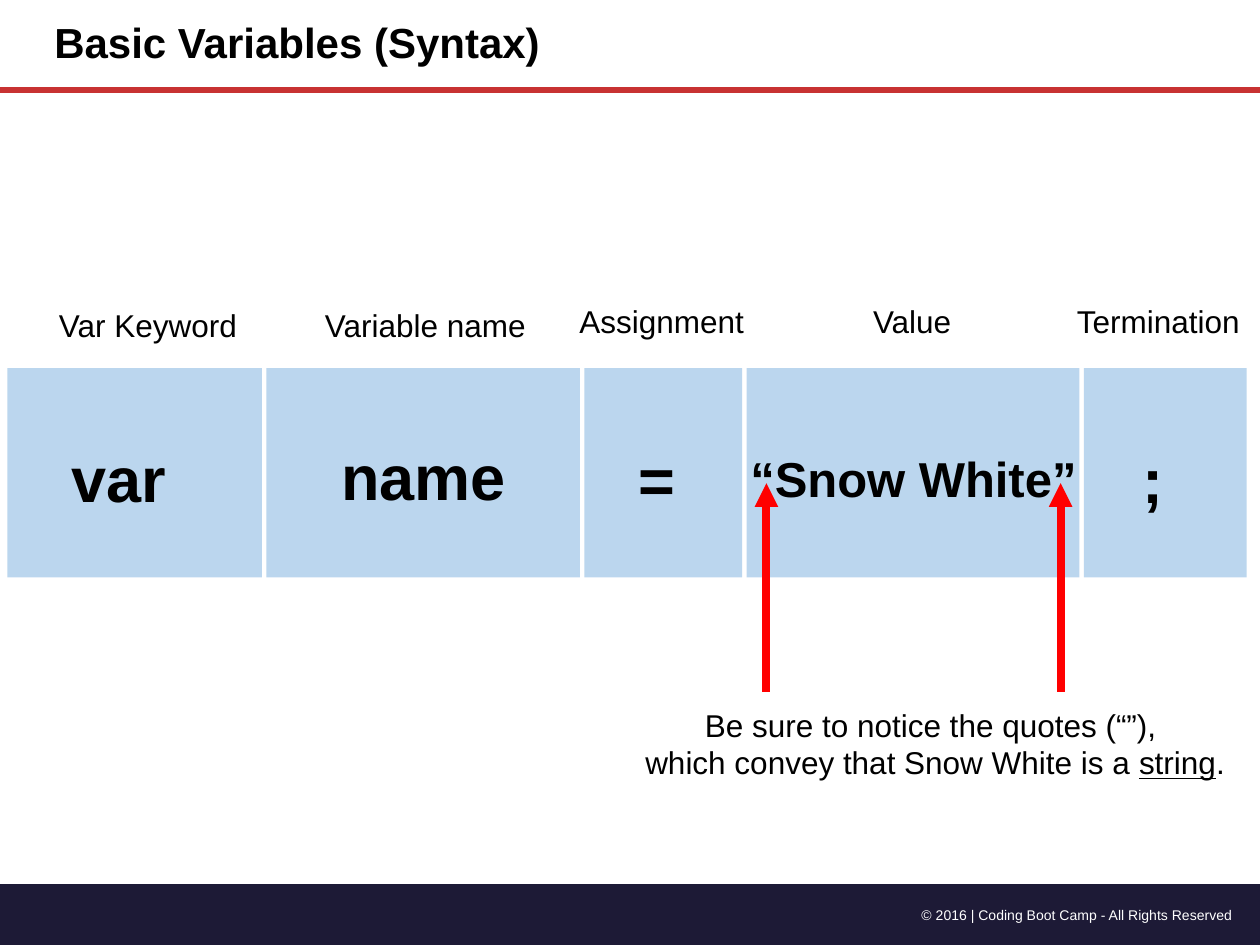
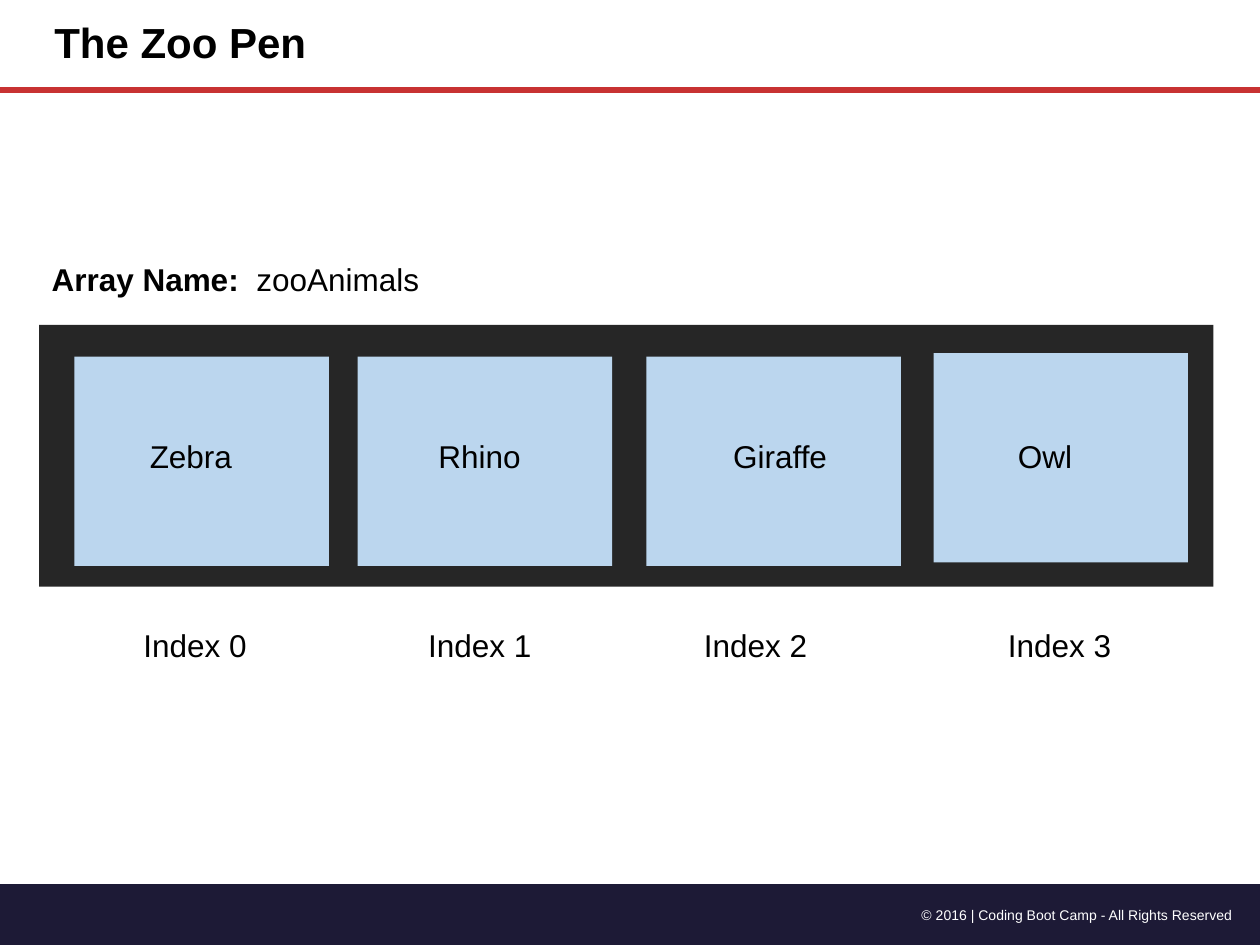
from lxml import etree
from pptx import Presentation
from pptx.dml.color import RGBColor
from pptx.enum import shapes, text
from pptx.oxml import ns
from pptx.util import Cm, Pt

FONT = "Arial"
BLACK = RGBColor(0x00, 0x00, 0x00)
WHITE = RGBColor(0xFF, 0xFF, 0xFF)
NAVY = RGBColor(0x1D, 0x1A, 0x36)
CRIMSON = RGBColor(0xC8, 0x32, 0x32)
RED = RGBColor(0xFF, 0x00, 0x00)
LIGHT_BLUE = RGBColor(0xBB, 0xD6, 0xEE)
CHARCOAL = RGBColor(0x26, 0x26, 0x26)
LEFT, CENTER, RIGHT = text.PP_ALIGN.LEFT, text.PP_ALIGN.CENTER, text.PP_ALIGN.RIGHT
PAGE_WIDTH, PAGE_HEIGHT = 25.4, 19.05
BLOCK_HEIGHT = 4.22


def add_block(page, left, top, width, height, color, kind=shapes.MSO_SHAPE.RECTANGLE):
    block = page.shapes.add_shape(kind, Cm(left), Cm(top), Cm(width), Cm(height))
    block.shadow.inherit = False
    block.fill.solid()
    block.fill.fore_color.rgb = color
    block.line.fill.background()


def add_text(page, left, top, width, height, paragraphs, size=18, color=BLACK, align=LEFT):
    """Each paragraph is a list of (words, bold, underline) runs."""
    box = page.shapes.add_textbox(Cm(left), Cm(top), Cm(width), Cm(height))
    frame = box.text_frame
    frame.word_wrap = True
    for number, runs in enumerate(paragraphs):
        para = frame.add_paragraph() if number else frame.paragraphs[0]
        para.alignment = align
        for words, bold, underline in runs:
            span = para.add_run()
            span.text = words
            span.font.name, span.font.size = FONT, Pt(size)
            span.font.bold, span.font.underline = bold, underline
            span.font.color.rgb = color


deck = Presentation()
deck.slide_width, deck.slide_height = Cm(PAGE_WIDTH), Cm(PAGE_HEIGHT)

# Shared frame: footer band, red rule and title
for heading in ("Basic Variables (Syntax)", "The Zoo Pen"):
    page = deck.slides.add_slide(deck.slide_layouts[5])
    add_block(page, 0, 17.83, PAGE_WIDTH, PAGE_HEIGHT - 17.83, NAVY,
              shapes.MSO_SHAPE.FLOWCHART_PROCESS)
    add_text(page, 17.35, 18.16, 7.75, 0.61,
             [[("© 2016 | Coding Boot Camp - All Rights Reserved", False, False)]],
             8, WHITE, RIGHT)
    rule = page.shapes.add_connector(shapes.MSO_CONNECTOR.STRAIGHT,
                                     0, Cm(1.82), Cm(PAGE_WIDTH), Cm(1.82))
    rule.line.color.rgb, rule.line.width = CRIMSON, Pt(3.25)

    title = page.shapes.title
    title.left, title.top, title.width, title.height = Cm(0.84), Cm(0), Cm(15.19), Cm(1.82)
    title.text_frame.vertical_anchor = text.MSO_ANCHOR.MIDDLE
    title.text_frame.auto_size = text.MSO_AUTO_SIZE.NONE
    para = title.text_frame.paragraphs[0]
    para.alignment, para.line_spacing = LEFT, 0.9
    span = para.add_run()
    span.text = heading
    span.font.name, span.font.size, span.font.bold = FONT, Pt(24), True
    span.font.color.rgb = BLACK

syntax_page, zoo_page = deck.slides

# Syntax: row of blocks
block_left = 0.15
for block_width in (5.13, 6.32, 3.18, 6.71, 3.28):
    add_block(syntax_page, block_left, 7.42, block_width, BLOCK_HEIGHT, LIGHT_BLUE)
    block_left += block_width + 0.09

# Syntax: arrows up to the quotes
for arrow_x in (15.45, 21.38):
    arrow = syntax_page.shapes.add_connector(shapes.MSO_CONNECTOR.STRAIGHT,
                                             Cm(arrow_x), Cm(13.94), Cm(arrow_x), Cm(9.74))
    arrow.line.color.rgb, arrow.line.width = RED, Pt(4.5)
    etree.SubElement(arrow.line._get_or_add_ln(), ns.qn("a:tailEnd"), type="triangle")

# Syntax: label above each block
for label, left, top, width in (
    ("Var Keyword", 0.94, 6.05, 4.2),
    ("Variable name", 6.3, 6.05, 4.7),
    ("Assignment", 11.43, 5.97, 4),
    ("Value", 17.35, 5.97, 2.2),
    ("Termination", 21.46, 5.97, 3.92),
):
    add_text(syntax_page, left, top, width, 1.02, [[(label, False, False)]])

# Syntax: code inside each block
for code, left, top, width, size, align in (
    ("var", 1.19, 8.74, 3.94, 36, LEFT),
    ("name", 6.63, 8.69, 5.31, 36, LEFT),
    ("=", 12.62, 8.76, 2.36, 36, LEFT),
    ("“Snow White”", 14.63, 8.92, 7.57, 28, CENTER),
    (";", 22.78, 8.76, 2.36, 36, LEFT),
):
    add_text(syntax_page, left, top, width, 1.8, [[(code, True, False)]], size, align=align)

# Syntax: note on the quotes
add_text(syntax_page, 12.7, 14.1, 12.3, 1.8, [
    [("Be sure to notice the quotes (“”), ", False, False)],
    [("which convey that Snow White is a ", False, False),
     ("string", False, True), (".", False, False)],
], align=CENTER)

# Zoo: array name and pens with their indexes
add_text(zoo_page, 0.79, 5.11, 8, 1.02,
         [[("Array Name:  ", True, False), ("zooAnimals", False, False)]])
add_block(zoo_page, 0.79, 6.55, 23.67, 5.28, CHARCOAL)
for index, (animal, pen_left, pen_top, animal_left, index_left) in enumerate((
    ("Zebra", 1.5, 7.19, 2.77, 2.64),
    ("Rhino", 7.21, 7.19, 8.59, 8.38),
    ("Giraffe", 13.03, 7.19, 14.53, 13.94),
    ("Owl", 18.82, 7.12, 20.27, 20.07),
)):
    add_block(zoo_page, pen_left, pen_top, 5.13, BLOCK_HEIGHT, LIGHT_BLUE)
    add_text(zoo_page, animal_left, 8.69, 2.6, 1.02, [[(animal, False, False)]])
    add_text(zoo_page, index_left, 12.5, 2.8, 1.02, [[(f"Index {index}", False, False)]])

# Lines cast no shadow
for page in deck.slides:
    for line in page.shapes:
        if line.shape_type == shapes.MSO_SHAPE_TYPE.LINE:
            etree.SubElement(line._element.spPr, ns.qn("a:effectLst"))

deck.save("out.pptx")
